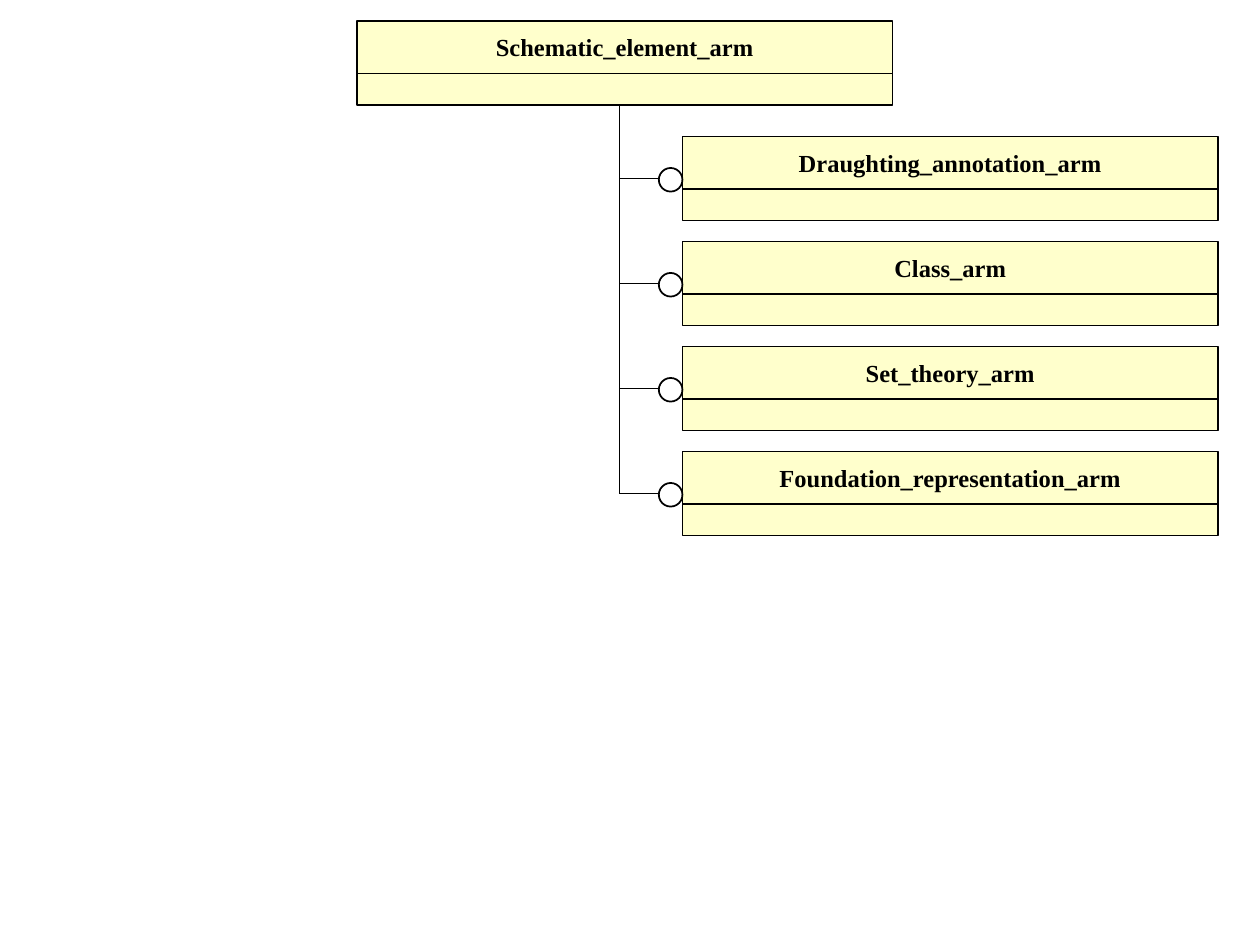
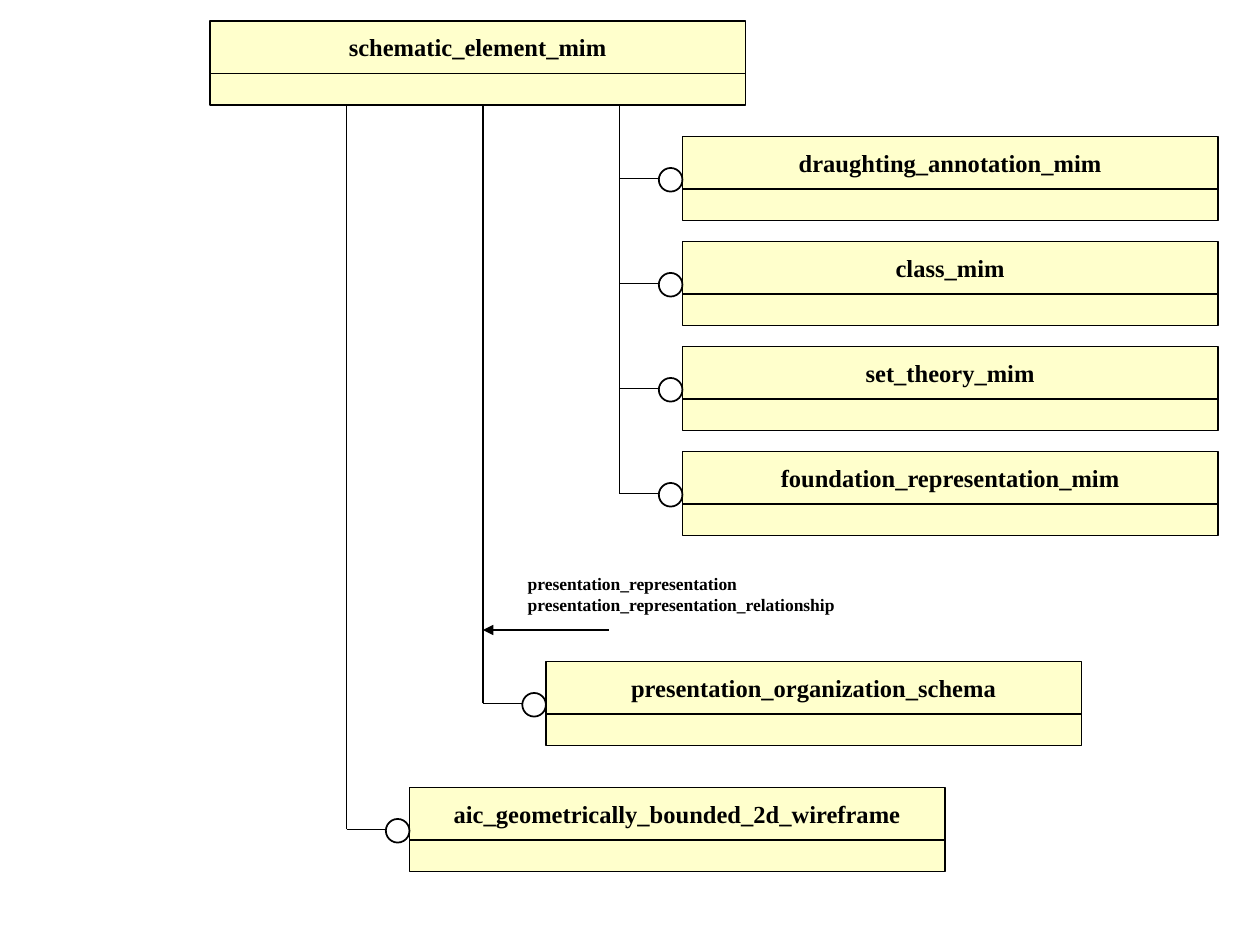
from pptx import Presentation
from pptx.dml.color import RGBColor as RGB
from pptx.enum.shapes import MSO_CONNECTOR as CON, MSO_SHAPE as SHP
from pptx.enum.text import MSO_ANCHOR as ANC, PP_ALIGN as AL
from pptx.oxml.ns import qn
from pptx.util import Inches, Pt
from lxml.etree import SubElement as Sub

# Shared look; all places are counted in grid units of 1/12 inch
HUES = {"box": "FFFFCC", "ring": "FFFFFF", "ink": "000000"}
FONT = {"name": "Times New Roman", "bold": True}
FRAME = {"word_wrap": False, "margin_left": Inches(0.1), "margin_right": Inches(0.1),
         "margin_top": Inches(0.05), "margin_bottom": Inches(0.05)}
UNIT = Inches(1) // 12
WIDE, HEAD, FOOT, RING = 51, 5, 3, 2.25
TOP, ROW, STEP = 2, 13, 10
BASE = TOP + HEAD + FOOT
INK = RGB.from_string(HUES["ink"])

# Slides: root name, root left, nodes as (name, left, top), stems as (left, foot, points)
PARTS = ["draughting_annotation", "class", "set_theory", "foundation_representation"]
rows = [(part, 65, ROW + STEP * i) for i, part in enumerate(PARTS)]
stem = (59, rows[-1][2] + 4, 0.75)
arm = [(f"{part.capitalize()}_arm", x, y) for part, x, y in rows]
mim = [(f"{part}_mim", x, y) for part, x, y in rows]
mim += [("presentation_organization_schema", 52, 63),
        ("aic_geometrically_bounded_2d_wireframe", 39, 75)]
PAGES = [("Schematic_element_arm", 34, arm, [stem]),
         ("schematic_element_mim", 20, mim, [stem, (46, 67, 1), (33, 79, 1)])]
USED = ["presentation_representation", "presentation_representation_relationship"]


def line(page, x1, y1, x2, y2, size=0.75):
    ends = [round(v * UNIT) for v in (x1, y1, x2, y2)]
    link = page.shapes.add_connector(CON.STRAIGHT, *ends)
    link.line.color.rgb, link.line.width = INK, Pt(size)
    Sub(link._element.spPr, qn("a:effectLst"))
    return link


def shape(home, kind, hue, x, y, w, h, size=0.75, text=""):
    item = home.shapes.add_shape(kind, *[round(v * UNIT) for v in (x, y, w, h)])
    item.shadow.inherit = False
    item.fill.solid()
    item.fill.fore_color.rgb = RGB.from_string(HUES[hue])
    item.line.color.rgb, item.line.width = INK, Pt(size)
    if text:
        frame = item.text_frame
        for key, val in {**FRAME, "vertical_anchor": ANC.MIDDLE}.items():
            setattr(frame, key, val)
        para = frame.paragraphs[0]
        para.text, para.alignment = text, AL.CENTER
        for key, val in {**FONT, "size": Pt(14)}.items():
            setattr(para.font, key, val)
        para.font.color.rgb = INK


deck = Presentation()
deck.slide_width, deck.slide_height = Inches(10), Inches(7.5)

for root, left, nodes, stems in PAGES:
    page = deck.slides.add_slide(deck.slide_layouts[6])

    # Schema boxes: name above, empty band below
    for name, x, y in [(root, left, TOP)] + nodes:
        group = page.shapes.add_group_shape()
        shape(group, SHP.RECTANGLE, "box", x, y, WIDE, HEAD, text=name)
        shape(group, SHP.RECTANGLE, "box", x, y + HEAD, WIDE, FOOT)

    # Stems down from the root
    for x, foot, size in stems:
        line(page, x, foot, x, BASE, size)

    # Branches that end in a ring
    for name, x, y in nodes:
        line(page, x - 6, y + 4, x - 2, y + 4)
        shape(page, SHP.OVAL, "ring", x - RING, y + 3, RING, RING, 1)

# Arrow with the items used, on the last slide
arrow = line(page, 46, 60, 58, 60, 1)
Sub(arrow.line._get_or_add_ln(), qn("a:headEnd"), type="triangle")
note = page.shapes.add_textbox(Inches(4.09), Inches(4.5), Inches(2.64), Inches(0.44))
frame = note.text_frame
for key, val in FRAME.items():
    setattr(frame, key, val)
frame.text = "\n".join(USED)
for para in frame.paragraphs:
    for key, val in {**FONT, "size": Pt(10)}.items():
        setattr(para.font, key, val)
    para.font.color.rgb = INK

deck.save("out.pptx")
